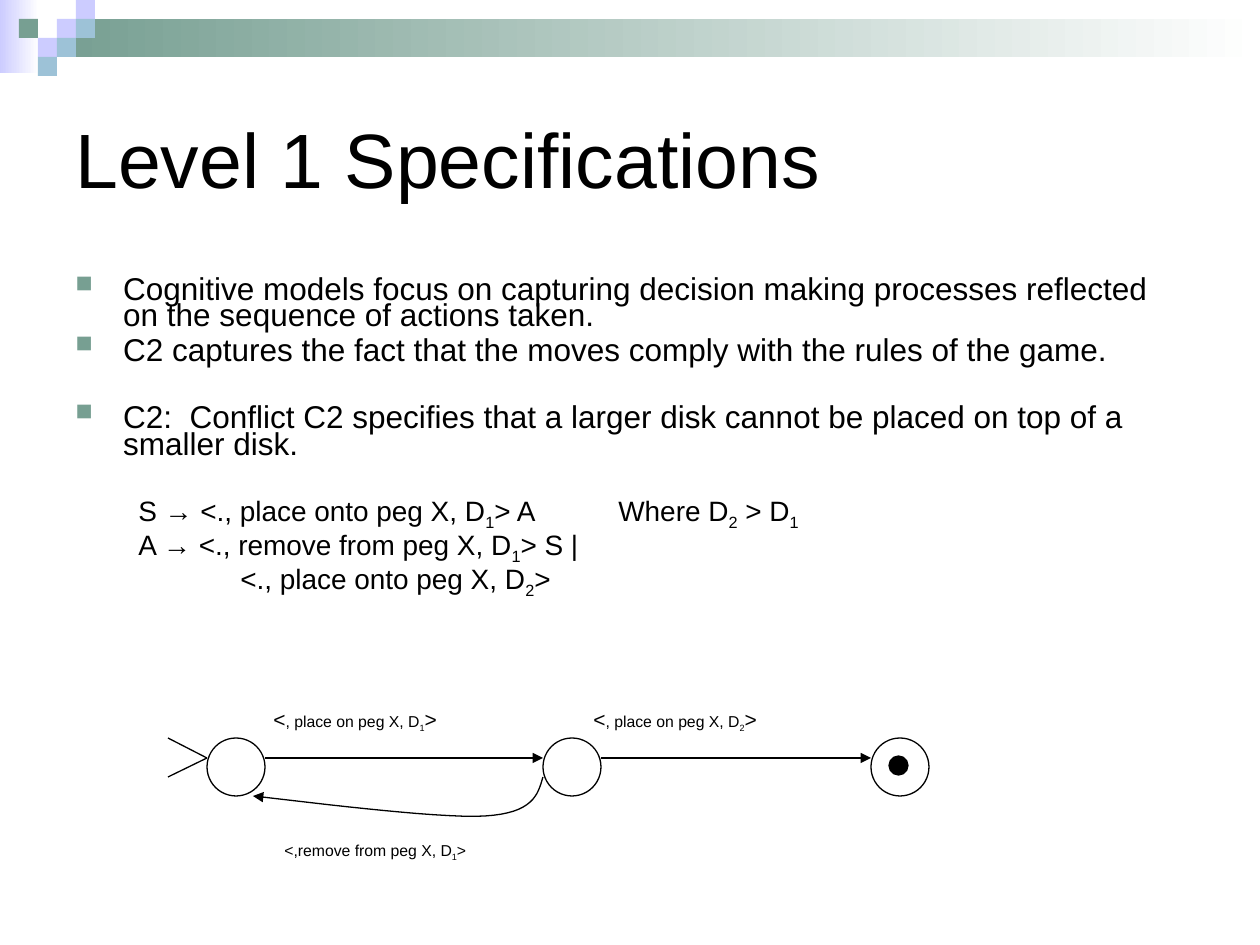
from lxml import etree
from pptx import Presentation
from pptx.dml.color import RGBColor
from pptx.enum.shapes import MSO_CONNECTOR as LINK, MSO_SHAPE as SHAPE
from pptx.enum.text import MSO_ANCHOR as ANCHOR
from pptx.oxml.ns import qn
from pptx.util import Emu, Inches, Pt

PX = 914400 / 126
BLACK = RGBColor(0, 0, 0)
WHITE = RGBColor(255, 255, 255)
LAVENDER = RGBColor(0xCC, 0xCC, 0xFF)
GREEN = RGBColor(0x77, 0x9F, 0x92)
BLUE = RGBColor(0x9D, 0xC2, 0xD7)

BANDS = [((0, 0, 39, 73), LAVENDER), ((57, 19, 1203, 38), GREEN)]
CELL = 19
MOSAIC = [(3, 1, LAVENDER), (4, 0, LAVENDER), (4, 1, BLUE), (2, 2, LAVENDER),
          (1, 1, GREEN), (3, 2, BLUE), (2, 3, BLUE)]

TITLE = "Level 1 Specifications"
# An underscore puts the next character in subscript.
BULLETS = [
    ("Cognitive models focus on capturing decision making processes reflected "
     "on the sequence of actions taken.", 0),
    ("C2 captures the fact that the moves comply with the rules of the game.", 4.5),
    ("C2:  Conflict C2 specifies that a larger disk cannot be placed on top of "
     "a smaller disk.", 23.5),
]
GRAMMAR = [
    ("S → <., place onto peg X, D_1> A \t\tWhere D_2 > D_1", 23),
    ("A → <., remove from peg X, D_1> S |", 4),
    ("\t\t<., place onto peg X, D_2>", 4),
]
LABELS = [
    ((261, 700, 329, 39), [("<", 12), (", place on peg X, D_1", 9), (">", 12)]),
    ((581, 700, 367, 39), [("<", 12), (", place on peg X, D_2", 9), (">", 12)]),
    ((272, 835, 213, 77), [("<,remove from peg X, D_1>", 9)]),
]
STATES = [(207, 738, 58, WHITE), (543, 738, 58, WHITE), (871, 738, 58, WHITE),
          (889, 756, 19, BLACK)]
LINES = [((265, 758), (543, 758), True), ((601, 758), (871, 758), True),
         ((168, 738), (207, 758), False), ((207, 758), (168, 777), False)]
RETURN_CURVE = [[(543, 777), (538, 795), (533, 813), (485, 816)],
                [(485, 816), (436, 819), (291, 800), (253, 796)]]
CURVE_STEPS = 16


def emu(*lengths):
    """Turn px into EMU."""
    return [Emu(round(length * PX)) for length in lengths]


def add_text(para, text, size):
    """Write text as runs, with each character after an underscore as subscript."""
    first, *rest = text.split("_")
    parts = [(first, False)]
    for chunk in rest:
        parts += [(chunk[:1], True), (chunk[1:], False)]
    for part, lowered in parts:
        if part:
            span = para.add_run()
            span.text = part
            span.font.name, span.font.size = "Arial", Pt(size)
            span.font.color.rgb = BLACK
            if lowered:
                span.font._element.set("baseline", "-25000")


def add_box(page, frame, anchor=ANCHOR.TOP):
    """Add a wrapping text box."""
    box = page.shapes.add_textbox(*emu(*frame))
    box.text_frame.word_wrap = True
    box.text_frame.vertical_anchor = anchor
    return box


def add_shape(page, kind, frame, fill, outlined=False):
    """Add a flat shape with an optional thin black outline."""
    shape = page.shapes.add_shape(kind, *emu(*frame))
    shape.shadow.inherit = False
    shape.fill.solid()
    shape.fill.fore_color.rgb = fill
    if outlined:
        style_line(shape.line)
    else:
        shape.line.fill.background()
    return shape


def style_line(line, arrow=False):
    """Make a line thin and black, with an optional arrowhead at its end."""
    line.color.rgb, line.width = BLACK, Pt(0.75)
    if arrow:
        etree.SubElement(line._get_or_add_ln(), qn("a:tailEnd"), type="triangle")


def format_para(para, margin, indent, before, bullet=False, tabs=False):
    """Set indents, spacing, bullet and tab stops of a body paragraph."""
    para.line_spacing = 0.7
    para.space_before = Pt(before)
    props = para._p.get_or_add_pPr()
    props.set("marL", str(Inches(margin)))
    props.set("indent", str(Inches(indent)))
    if bullet:
        color = etree.SubElement(props, qn("a:buClr"))
        etree.SubElement(color, qn("a:srgbClr"), val=str(GREEN))
        etree.SubElement(props, qn("a:buSzPct"), val="75000")
        etree.SubElement(props, qn("a:buChar"), char="■")
    if tabs:
        stops = etree.SubElement(props, qn("a:tabLst"))
        for inch in range(8):
            etree.SubElement(stops, qn("a:tab"), pos=str(Inches(inch)), algn="l")


def add_header(page):
    """Draw the gradient bands and the mosaic."""
    for frame, color in BANDS:
        fill = add_shape(page, SHAPE.RECTANGLE, frame, color).fill
        fill.gradient()
        fill.gradient_angle = 180
        for stop, shade in zip(fill.gradient_stops, (WHITE, color)):
            stop.color.rgb = shade
    for column, row, color in MOSAIC:
        add_shape(page, SHAPE.RECTANGLE, (column * CELL, row * CELL, CELL, CELL), color)


def add_body(page):
    """Write the bullets and the grammar."""
    frame = add_box(page, (63, 273, 1134, 368)).text_frame
    for index, (text, before) in enumerate(BULLETS + GRAMMAR):
        para = frame.add_paragraph() if index else frame.paragraphs[0]
        if index < len(BULLETS):
            format_para(para, 0.38, -0.38, before, bullet=True)
            add_text(para, text, 18)
        else:
            format_para(para, 0.81, -0.31, before, tabs=True)
            add_text(para, text, 16)


def curve_points():
    """Sample the cubic segments of the return arrow."""
    points = [RETURN_CURVE[0][0]]
    for segment in RETURN_CURVE:
        for step in range(1, CURVE_STEPS + 1):
            t = step / CURVE_STEPS
            weights = ((1 - t) ** 3, 3 * t * (1 - t) ** 2, 3 * t * t * (1 - t), t ** 3)
            points.append(tuple(sum(w * p[axis] for w, p in zip(weights, segment))
                                for axis in (0, 1)))
    return [emu(*point) for point in points]


def add_automaton(page):
    """Draw the states, the transitions and their labels."""
    for frame, spans in LABELS:
        box = add_box(page, frame)
        box.fill.solid()
        box.fill.fore_color.rgb = WHITE
        for text, size in spans:
            add_text(box.text_frame.paragraphs[0], text, size)
    for left, top, size, fill in STATES:
        add_shape(page, SHAPE.OVAL, (left, top, size, size), fill, outlined=True)
    for start, end, arrow in LINES:
        link = page.shapes.add_connector(LINK.STRAIGHT, *emu(*start, *end))
        style_line(link.line, arrow)
        etree.SubElement(link._element.spPr, qn("a:effectLst"))
    start, *rest = curve_points()
    builder = page.shapes.build_freeform(*start)
    builder.add_line_segments(rest, close=False)
    curve = builder.convert_to_shape()
    curve.shadow.inherit = False
    curve.fill.background()
    style_line(curve.line, arrow=True)


def main():
    """Build the slide."""
    deck = Presentation()
    deck.slide_width, deck.slide_height = emu(1260, 945)
    page = deck.slides.add_slide(deck.slide_layouts[6])
    add_header(page)
    title = add_box(page, (63, 63, 1134, 189), ANCHOR.MIDDLE)
    add_text(title.text_frame.paragraphs[0], TITLE, 44)
    add_body(page)
    add_automaton(page)
    deck.save("out.pptx")


if __name__ == "__main__":
    main()
